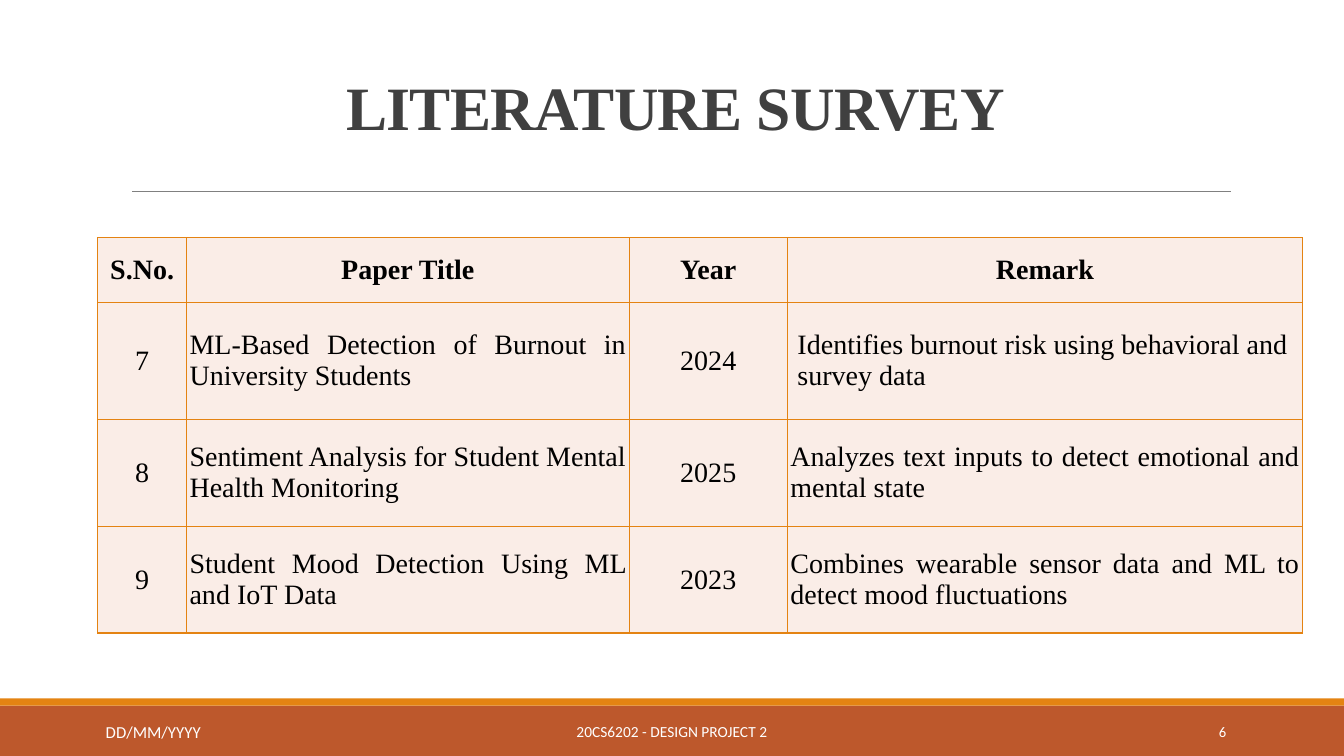
import pptx
import pptx.util
import pptx.dml.color
import pptx.enum.dml
import pptx.enum.shapes
import pptx.enum.text
import pptx.oxml
import pptx.oxml.ns
from dataclasses import dataclass

Inches = pptx.util.Inches
Align = pptx.enum.text.PP_ALIGN
Anchor = pptx.enum.text.MSO_ANCHOR

TITLE = "LITERATURE SURVEY"
HEADER = ("S.No.", "Paper Title", "Year", "Remark")
PAPERS = [
    ("7", "ML-Based Detection of Burnout in University Students", "2024",
     "Identifies burnout risk using behavioral and survey data"),
    ("8", "Sentiment Analysis for Student Mental Health Monitoring", "2025",
     "Analyzes text inputs to detect emotional and mental state"),
    ("9", "Student Mood Detection Using ML and IoT Data", "2023",
     "Combines wearable sensor data and ML to detect mood fluctuations"),
]
COLUMN_WIDTHS = (0.88, 4.39, 1.57, 5.11)
ROW_HEIGHTS = (0.64, 1.16, 1.06, 1.06)
COLUMN_ALIGNS = (Align.CENTER, Align.JUSTIFY, Align.CENTER, Align.JUSTIFY)
LOOSE_CELL = (1, 3)


@dataclass(frozen=True)
class Theme:
    serif: str = "Times New Roman"
    sans: str = "Calibri"
    title: str = "404040"
    ink: str = "000000"
    white: str = "FFFFFF"
    band: str = "BD582C"
    accent: str = "E48312"
    rule: str = "808080"
    cell: str = "FAEDE7"
    title_size: float = 44
    table_size: float = 20
    date_size: float = 12
    footer_size: float = 11
    number_size: float = 10.5


THEME = Theme()
BANDS = [((0, 7, 13.33, 0.5), THEME.band), ((0, 6.93, 13.33, 0.07), THEME.accent)]
FOOTERS = [
    ("20CS6202 - DESIGN PROJECT 2", (4.03, 7.06, 5.27, 0.4), THEME.footer_size, Align.CENTER),
    ("6", (10.83, 7.06, 1.43, 0.4), THEME.number_size, Align.RIGHT),
    ("DD/MM/YYYY", (0.95, 7.11, 2.59, 0.3), THEME.date_size, Align.LEFT),
]


def rgb(value):
    return pptx.dml.color.RGBColor.from_string(value)


def write(frame, text, *, size, color, font, align, bold=False):
    para = frame.paragraphs[0]
    para.alignment = align
    span = para.add_run()
    span.text = text
    span.font.size = pptx.util.Pt(size)
    span.font.name = font
    span.font.bold = bold
    span.font.color.rgb = rgb(color)
    return para, span


def add_band(page, place, color):
    band = page.shapes.add_shape(
        pptx.enum.shapes.MSO_SHAPE.RECTANGLE, *map(Inches, place))
    band.shadow.inherit = False
    band.fill.solid()
    band.fill.fore_color.rgb = rgb(color)
    band.line.fill.background()


def add_rule(page):
    rule = page.shapes.add_connector(
        pptx.enum.shapes.MSO_CONNECTOR.STRAIGHT,
        Inches(1.31), Inches(1.9), Inches(12.21), Inches(1.9))
    rule.line.color.rgb = rgb(THEME.rule)
    rule.line.width = pptx.util.Pt(0.5)
    rule._element.spPr.append(pptx.oxml.parse_xml(
        f'<a:effectLst {pptx.oxml.ns.nsdecls("a")}/>'))


def add_title(page):
    title = page.shapes.title
    title.left, title.top, title.width, title.height = map(Inches, (1.2, 0.31, 11, 1.59))
    frame = title.text_frame
    frame.vertical_anchor = Anchor.MIDDLE
    frame.auto_size = pptx.enum.text.MSO_AUTO_SIZE.NONE
    para, span = write(frame, TITLE, size=THEME.title_size, color=THEME.title,
                       font=THEME.serif, align=Align.CENTER, bold=True)
    para.line_spacing = 0.85
    span.font._element.set("spc", "-50")


def border_cell(cell):
    properties = cell._tc.get_or_add_tcPr()
    for index, side in enumerate(("lnL", "lnR", "lnT", "lnB")):
        properties.insert(index, pptx.oxml.parse_xml(
            f'<a:{side} {pptx.oxml.ns.nsdecls("a")} w="12700"><a:solidFill>'
            f'<a:srgbClr val="{THEME.accent}"/></a:solidFill></a:{side}>'))


def add_table(page):
    rows = [HEADER, *PAPERS]
    table = page.shapes.add_table(
        len(rows), len(HEADER), Inches(0.97), Inches(2.36),
        Inches(sum(COLUMN_WIDTHS)), Inches(sum(ROW_HEIGHTS))).table
    for column, width in zip(table.columns, COLUMN_WIDTHS):
        column.width = Inches(width)
    for row, height in zip(table.rows, ROW_HEIGHTS):
        row.height = Inches(height)
    for row_index, texts in enumerate(rows):
        for column_index, text in enumerate(texts):
            cell = table.cell(row_index, column_index)
            is_header = row_index == 0
            is_loose = (row_index, column_index) == LOOSE_CELL
            align = Align.CENTER if is_header else COLUMN_ALIGNS[column_index]
            write(cell.text_frame, text, size=THEME.table_size, color=THEME.ink,
                  font=THEME.serif, align=Align.LEFT if is_loose else align, bold=is_header)
            cell.vertical_anchor = Anchor.MIDDLE
            cell.margin_left = cell.margin_right = Inches(0.1 if is_loose else 0.03)
            cell.margin_top = cell.margin_bottom = Inches(0.05 if is_loose else 0.02)
            cell.fill.solid()
            cell.fill.fore_color.rgb = rgb(THEME.cell)
            border_cell(cell)


def add_footer(page, text, place, size, align):
    box = page.shapes.add_textbox(*map(Inches, place))
    box.text_frame.word_wrap = True
    box.text_frame.vertical_anchor = Anchor.MIDDLE
    write(box.text_frame, text, size=size, color=THEME.white, font=THEME.sans, align=align)


def main():
    deck = pptx.Presentation()
    deck.slide_width, deck.slide_height = Inches(13.33), Inches(7.5)
    page = deck.slides.add_slide(deck.slide_layouts.get_by_name("Title Only"))
    for place, color in BANDS:
        add_band(page, place, color)
    add_rule(page)
    add_title(page)
    add_table(page)
    for footer in FOOTERS:
        add_footer(page, *footer)
    deck.save("out.pptx")


if __name__ == "__main__":
    main()
